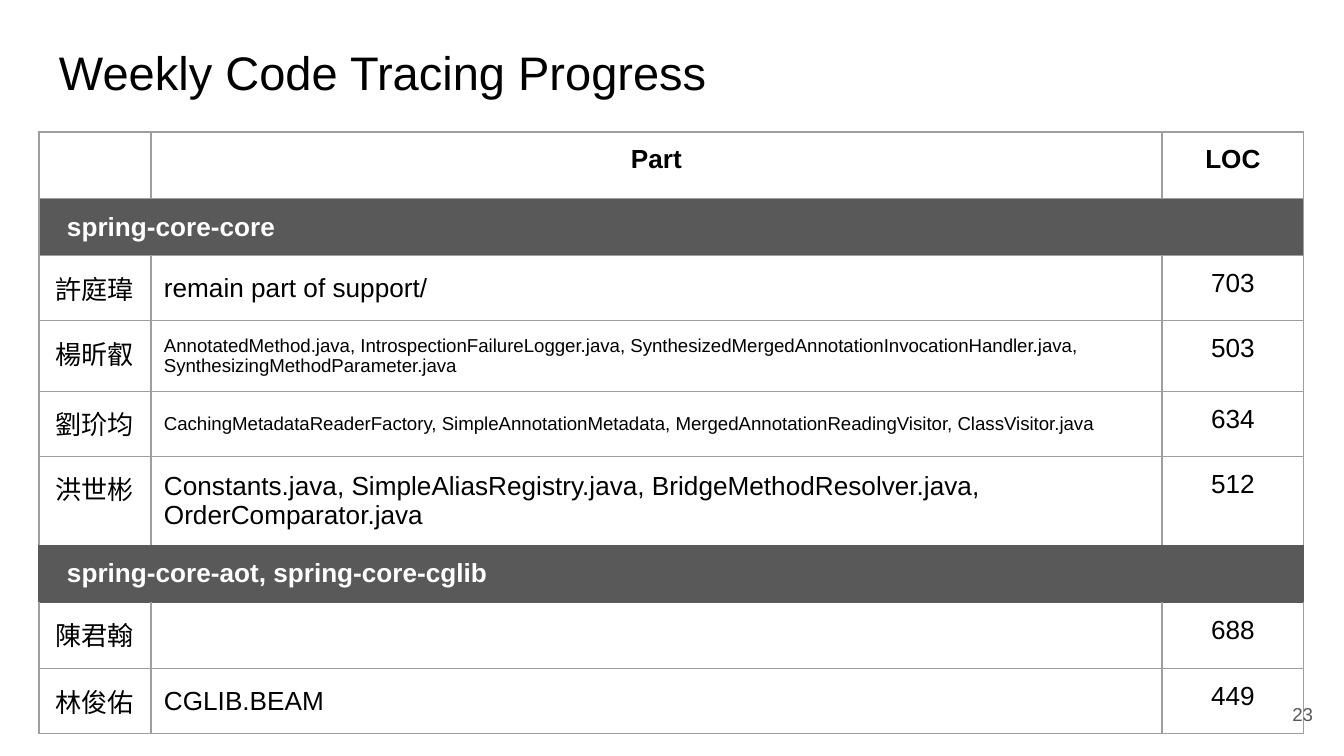
from lxml import etree
from pptx import Presentation
from pptx import util as u
from pptx.dml.color import RGBColor
from pptx.enum import text
from pptx.oxml import ns

SCALE = 914400 / 134.4
BLACK = RGBColor(0x00, 0x00, 0x00)
WHITE = RGBColor(0xFF, 0xFF, 0xFF)
DARK = RGBColor(0x59, 0x59, 0x59)
GRID = RGBColor(0x9E, 0x9E, 0x9E)
FONT = "Arial"
INSET = 13
LEFT, CENTER, RIGHT = text.PP_ALIGN.LEFT, text.PP_ALIGN.CENTER, text.PP_ALIGN.RIGHT
TOP, MIDDLE = text.MSO_ANCHOR.TOP, text.MSO_ANCHOR.MIDDLE

COLUMNS = [112, 1011, 142]
HEADER = ("", "Part", "LOC")
HEADER_HEIGHT = 64
SECTION_HEIGHT = 57
SECTIONS = [
    ("spring-core-core", GRID, [
        ("許庭瑋", "remain part of support/", "703", 14, 65),
        ("楊昕叡", "AnnotatedMethod.java, IntrospectionFailureLogger.java, "
         "SynthesizedMergedAnnotationInvocationHandler.java, "
         "SynthesizingMethodParameter.java", "503", 10, 68),
        ("劉玠均", "CachingMetadataReaderFactory, SimpleAnnotationMetadata, "
         "MergedAnnotationReadingVisitor, ClassVisitor.java", "634", 10, 65),
        ("洪世彬", "Constants.java, SimpleAliasRegistry.java, "
         "BridgeMethodResolver.java, OrderComparator.java", "512", 14, 85),
    ]),
    ("spring-core-aot, spring-core-cglib", DARK, [
        ("陳君翰", "", "688", 14, 65),
        ("林俊佑", "CGLIB.BEAM", "449", 14, 65),
    ]),
]


def px(length):
    return u.Emu(round(length * SCALE))


def write(frame, words, size, color=BLACK, bold=False, align=LEFT):
    if not words:
        return
    para = frame.paragraphs[0]
    para.alignment = align
    span = para.add_run()
    span.text = words
    formats = {"name": FONT, "size": u.Pt(size), "bold": bold}
    for name, value in formats.items():
        setattr(span.font, name, value)
    span.font.color.rgb = color


def add_label(page, area, words, size, color, align, anchor):
    box = page.shapes.add_textbox(*map(px, area))
    formats = {"word_wrap": True, "vertical_anchor": anchor}
    formats.update({f"margin_{side}": px(INSET) for side in ("left", "right", "top", "bottom")})
    for name, value in formats.items():
        setattr(box.text_frame, name, value)
    write(box.text_frame, words, size, color, align=align)


def format_cell(cell, fill=None, top=GRID, bottom=GRID, side=GRID, anchor=TOP, indent=INSET):
    formats = {"margin_left": px(indent), "margin_right": px(INSET),
               "margin_top": px(INSET), "margin_bottom": px(INSET),
               "vertical_anchor": anchor}
    for name, value in formats.items():
        setattr(cell, name, value)
    properties = cell._tc.get_or_add_tcPr()
    for tag, color in (("lnL", side), ("lnR", side), ("lnT", top), ("lnB", bottom)):
        line = etree.SubElement(properties, ns.qn(f"a:{tag}"), w=str(u.Pt(0.75)))
        solid = etree.SubElement(line, ns.qn("a:solidFill"))
        etree.SubElement(solid, ns.qn("a:srgbClr"), val=str(color))
    if fill is None:
        cell.fill.background()
    else:
        cell.fill.solid()
        cell.fill.fore_color.rgb = fill


def fill_header(row):
    for cell, words in zip(row.cells, HEADER):
        format_cell(cell)
        write(cell.text_frame, words, 14, bold=True, align=CENTER)


def fill_section(row, title, edge):
    cells = list(row.cells)
    for cell in cells:
        format_cell(cell, DARK, edge, edge, edge, MIDDLE, indent=28)
    cells[0].merge(cells[-1])
    write(cells[0].text_frame, title, 14, WHITE, True)


def fill_member(row, member, top, bottom):
    name, part, lines, size, _ = member
    styles = ((name, 14, CENTER, TOP), (part, size, LEFT, MIDDLE), (lines, 14, CENTER, TOP))
    for cell, (words, points, align, anchor) in zip(row.cells, styles):
        format_cell(cell, top=top, bottom=bottom, anchor=anchor)
        write(cell.text_frame, words, points, align=align)


def add_progress(page, left, top):
    heights = [HEADER_HEIGHT]
    for _, _, members in SECTIONS:
        heights += [SECTION_HEIGHT] + [member[-1] for member in members]
    area = (left, top, sum(COLUMNS), sum(heights))
    table = page.shapes.add_table(len(heights), len(COLUMNS), *map(px, area)).table
    table.first_row = table.horz_banding = False
    for column, width in zip(table.columns, COLUMNS):
        column.width = px(width)
    for row, height in zip(table.rows, heights):
        row.height = px(height)

    rows = iter(table.rows)
    fill_header(next(rows))
    following = [edge for _, edge, _ in SECTIONS[1:]] + [GRID]
    for (title, edge, members), next_edge in zip(SECTIONS, following):
        fill_section(next(rows), title, edge)
        for index, member in enumerate(members):
            above = edge if index == 0 else GRID
            below = next_edge if index == len(members) - 1 else GRID
            fill_member(next(rows), member, above, below)


def main():
    deck = Presentation()
    deck.slide_width, deck.slide_height = px(1344), px(756)
    page = deck.slides.add_slide(deck.slide_layouts[6])
    add_label(page, (46, 30, 1252, 85), "Weekly Code Tracing Progress", 25.2, BLACK, LEFT, TOP)
    add_progress(page, 39, 132)
    add_label(page, (1246, 685, 80, 58), "23", 10, DARK, RIGHT, MIDDLE)
    deck.save("out.pptx")


if __name__ == "__main__":
    main()
